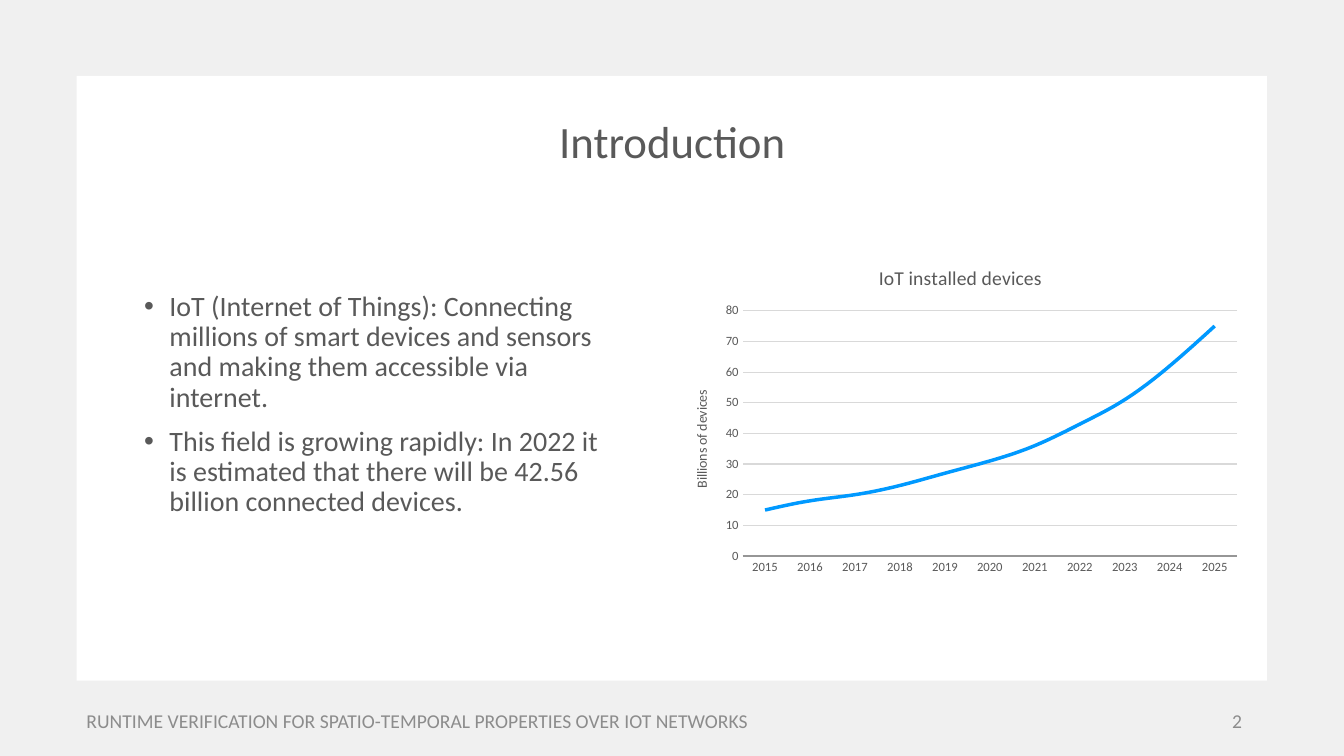
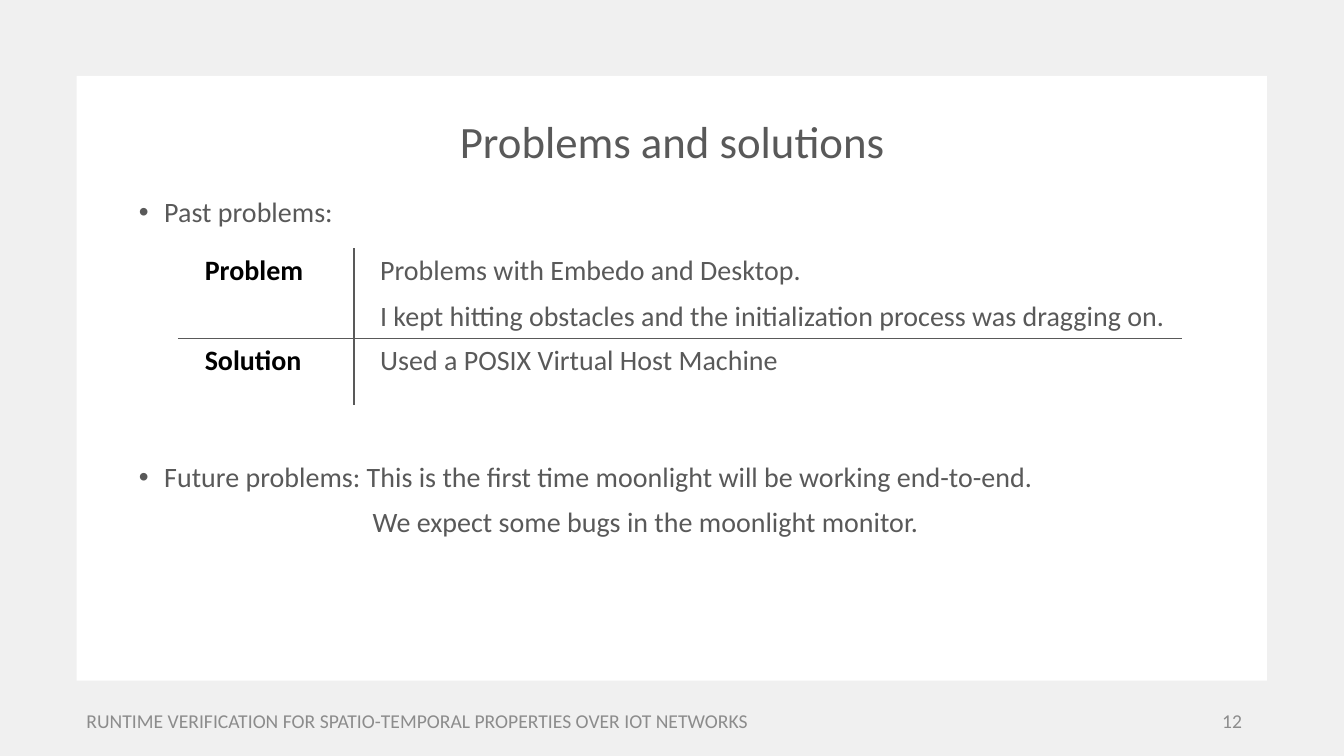
from lxml.etree import SubElement
from pptx import Presentation
from pptx.chart.data import CategoryChartData
from pptx.dml.color import RGBColor
from pptx.enum.chart import XL_CHART_TYPE as ChartType, XL_TICK_MARK as TickMark
from pptx.enum.shapes import MSO_SHAPE as Shape
from pptx.enum.text import MSO_ANCHOR as Anchor, PP_ALIGN as Align
from pptx.oxml import parse_xml
from pptx.oxml.ns import nsdecls, qn
from pptx.util import Cm, Pt

# Shared look
FONT = "Calibri"
GREY, FOOTER_GREY, BLACK = "595959", "8C8C8C", "000000"
BACKDROP, WHITE, BLUE = "F0F0F0", "FFFFFF", "0099FF"
AXIS_GREY, GRID_GREY = "969696", "D9D9D9"
PAGE = (33.87, 19.05)
FOOTER = "RUNTIME VERIFICATION FOR SPATIO-TEMPORAL PROPERTIES OVER IOT NETWORKS"
BULLET_INDENT = 0.64

# Content: introduction
INTRODUCTION = [
    "IoT (Internet of Things): Connecting millions of smart devices and sensors "
    "and making them accessible via internet.",
    "This field is growing rapidly: In 2022 it is estimated that there will be "
    "42.56 billion connected devices.",
]
CHART_TITLE, VALUE_TITLE = "IoT installed devices", "Billions of devices"
FIRST_YEAR = 2015
DEVICES = [15, 18, 20, 23, 27, 31, 36, 43, 51, 62, 75]

# Content: problems and solutions
PAST = "Past problems:"
FUTURE = "Future problems: This is the first time moonlight will be working end-to-end."
FUTURE_DETAIL = "We expect some bugs in the moonlight monitor."
PROBLEM_ROWS = [
    ("Problem", ["Problems with Embedo and Desktop.",
                 "I kept hitting obstacles and the initialization process was dragging on."]),
    ("Solution", ["Used a POSIX Virtual Host Machine"]),
]
COLUMN_WIDTHS, ROW_HEIGHTS = (4.42, 20.85), (2.26, 1.68)


def rgb(value):
    return RGBColor.from_string(value)


def style_font(font, size, color, bold=False):
    font.name, font.size, font.bold = FONT, Pt(size), bold
    font.color.rgb = rgb(color)


def set_text(paragraph, text, size, color=GREY, align=None, bold=False):
    paragraph.text = text
    paragraph.alignment = align
    for run in paragraph.runs:
        style_font(run.font, size, color, bold)


def set_indent(paragraph, left, first=0.0):
    properties = paragraph._p.get_or_add_pPr()
    properties.set("marL", str(Cm(left)))
    properties.set("indent", str(Cm(first)))
    return properties


def add_rectangle(slide, box, color):
    shape = slide.shapes.add_shape(Shape.RECTANGLE, *map(Cm, box))
    shape.shadow.inherit = False
    shape.fill.solid()
    shape.fill.fore_color.rgb = rgb(color)
    shape.line.fill.background()


def add_frame(slide, box, anchor):
    frame = slide.shapes.add_textbox(*map(Cm, box)).text_frame
    frame.word_wrap = True
    frame.vertical_anchor = anchor
    return frame


def add_line(slide, box, text, size, color, align, anchor=Anchor.MIDDLE):
    paragraph = add_frame(slide, box, anchor).paragraphs[0]
    set_text(paragraph, text, size, color, align)
    return paragraph


def add_body(slide, box, texts, anchor=Anchor.TOP, plain_indent=None):
    """Bulleted paragraphs; with plain_indent the last one has no bullet."""
    frame = add_frame(slide, box, anchor)
    for index, text in enumerate(texts):
        paragraph = frame.add_paragraph() if index else frame.paragraphs[0]
        set_text(paragraph, text, 20)
        paragraph.line_spacing = 0.9
        paragraph.space_before = Pt(10)
        if plain_indent and index == len(texts) - 1:
            set_indent(paragraph, plain_indent)
        else:
            properties = set_indent(paragraph, BULLET_INDENT, -BULLET_INDENT)
            SubElement(properties, qn("a:buFont")).set("typeface", "Arial")
            SubElement(properties, qn("a:buChar")).set("char", "•")


def new_slide(presentation, title, number):
    slide = presentation.slides.add_slide(presentation.slide_layouts[6])
    add_rectangle(slide, (0, 0, *PAGE), BACKDROP)
    add_rectangle(slide, (1.93, 1.91, 30, 15.24), WHITE)
    heading = add_line(slide, (4.5, 1.91, 24.89, 2.46), title, 32, GREY,
                       Align.CENTER, Anchor.BOTTOM)
    heading.line_spacing = 0.9
    add_line(slide, (1.93, 17.65, 20.19, 1.02), FOOTER, 14, FOOTER_GREY, Align.LEFT)
    add_line(slide, (23.93, 17.65, 7.62, 1.02), str(number), 14, FOOTER_GREY, Align.RIGHT)
    return slide


def add_device_chart(slide, box):
    data = CategoryChartData()
    data.categories = [str(FIRST_YEAR + step) for step in range(len(DEVICES))]
    data.add_series("Series 1", DEVICES)
    chart = slide.shapes.add_chart(ChartType.LINE, *map(Cm, box), data).chart
    chart.has_legend = False
    style_font(chart.font, 10, BLACK)
    chart.has_title = True
    value_axis, category_axis = chart.value_axis, chart.category_axis
    value_axis.has_title = True
    for holder, text, size in ((chart.chart_title, CHART_TITLE, 14),
                               (value_axis.axis_title, VALUE_TITLE, 10)):
        set_text(holder.text_frame.paragraphs[0], text, size)

    # Axes and grid
    for axis in (value_axis, category_axis):
        style_font(axis.tick_labels.font, 9, GREY)
        axis.major_tick_mark = TickMark.NONE
    value_axis.minimum_scale, value_axis.maximum_scale = 0, 80
    value_axis.major_unit = 10
    value_axis.format.line.fill.background()
    category_axis.format.line.color.rgb = rgb(AXIS_GREY)
    category_axis.format.line.width = Pt(1)
    grid = value_axis.major_gridlines.format.line
    grid.color.rgb = rgb(GRID_GREY)
    grid.width = Pt(0.75)

    # Curve
    plot = chart.plots[0]
    plot.vary_by_categories = False
    series = plot.series[0]
    series.smooth = True
    series.format.line.color.rgb = rgb(BLUE)
    series.format.line.width = Pt(2.5)


def add_borders(cell, sides):
    """Draw the given sides, listed in the order L, R, T, B."""
    properties = cell._tc.get_or_add_tcPr()
    for index, side in enumerate(sides):
        properties.insert(index, parse_xml(
            f'<a:ln{side} {nsdecls("a")} w="{Pt(1)}"><a:solidFill>'
            f'<a:srgbClr val="{GREY}"/></a:solidFill></a:ln{side}>'))


def fill_cell(cell, texts, color, bold):
    cell.fill.background()
    cell.margin_left = cell.margin_right = Cm(0.15)
    cell.margin_top = cell.margin_bottom = Cm(0.13)
    for index, text in enumerate(texts):
        paragraph = cell.text_frame.add_paragraph() if index else cell.text_frame.paragraphs[0]
        set_text(paragraph, text, 20, color, Align.JUSTIFY, bold)
        set_indent(paragraph, 0, 0.51)
        if index:
            paragraph.space_before = Pt(8)


def add_problem_table(slide, left, top):
    table = slide.shapes.add_table(
        len(ROW_HEIGHTS), len(COLUMN_WIDTHS), Cm(left), Cm(top),
        Cm(sum(COLUMN_WIDTHS)), Cm(sum(ROW_HEIGHTS))).table
    table.first_row = table.horz_banding = False
    for column, width in zip(table.columns, COLUMN_WIDTHS):
        column.width = Cm(width)
    for row, height in zip(table.rows, ROW_HEIGHTS):
        row.height = Cm(height)
    for row, (label, details) in enumerate(PROBLEM_ROWS):
        fill_cell(table.cell(row, 0), [label], BLACK, True)
        fill_cell(table.cell(row, 1), details, GREY, False)
        for column in range(2):
            add_borders(table.cell(row, column), "RL"[column] + "BT"[row])


def main():
    presentation = Presentation()
    presentation.slide_width, presentation.slide_height = map(Cm, PAGE)

    # Introduction
    slide = new_slide(presentation, "Introduction", 2)
    add_body(slide, (3.38, 5.99, 12.12, 8.43), INTRODUCTION, Anchor.MIDDLE)
    add_device_chart(slide, (16.94, 6.27, 14.53, 8.38))

    # Problems and solutions
    slide = new_slide(presentation, "Problems and solutions", 12)
    add_body(slide, (3.25, 4.88, 27.36, 1.2), [PAST])
    add_problem_table(slide, 4.5, 6.27)
    add_body(slide, (3.25, 11.56, 27.36, 2.4), [FUTURE, FUTURE_DETAIL], plain_indent=5.89)

    presentation.save("out.pptx")


if __name__ == "__main__":
    main()
